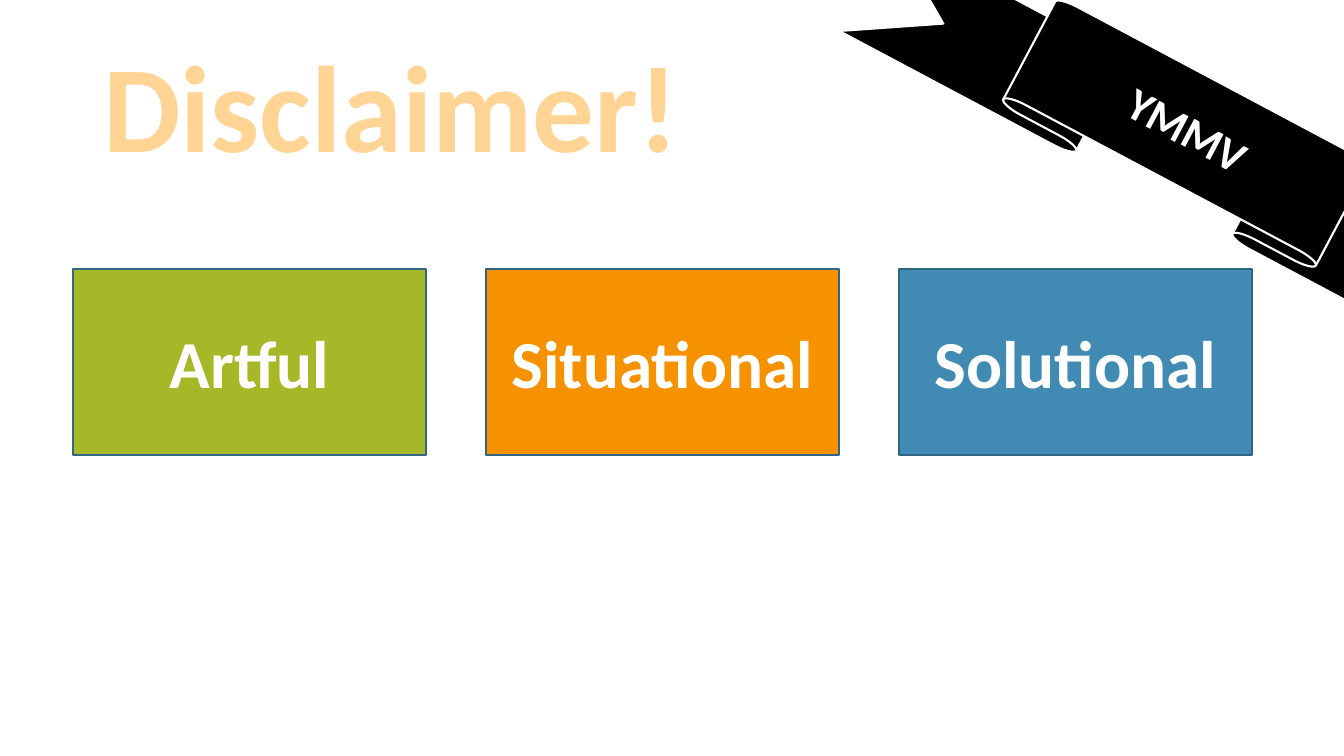
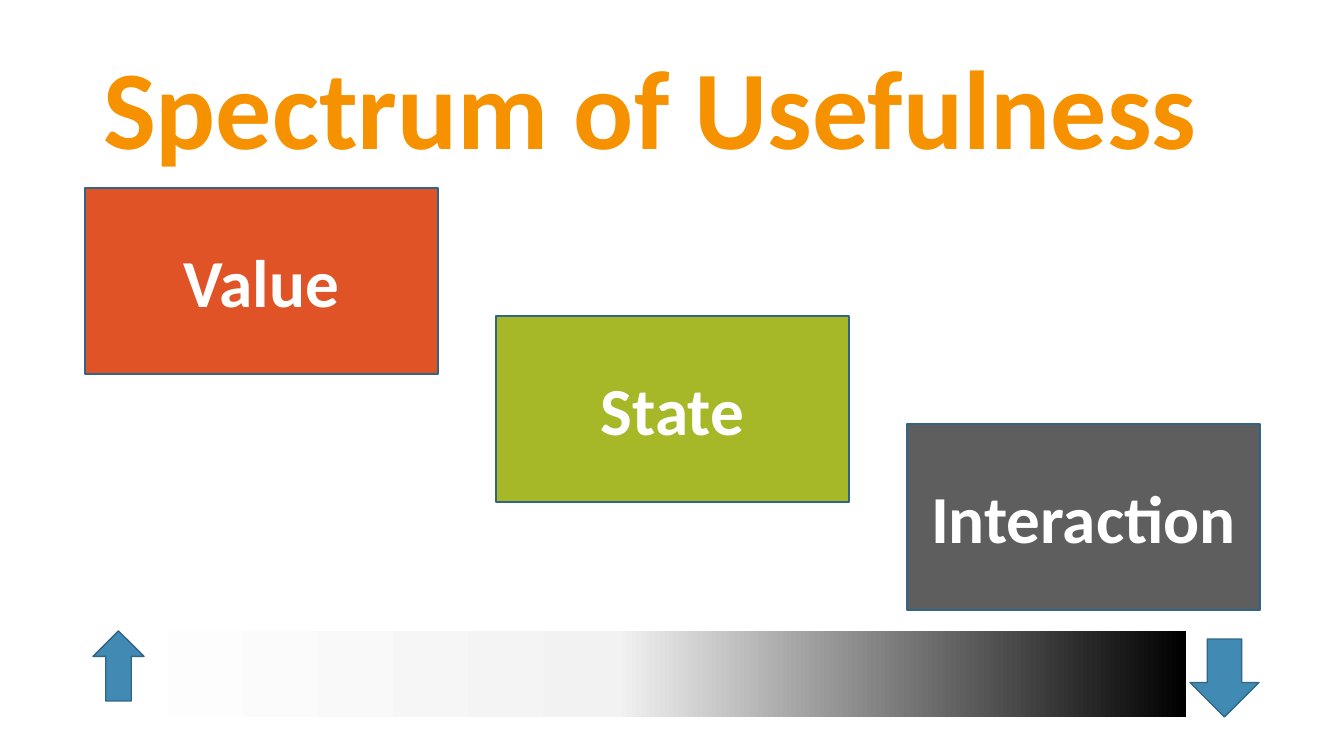
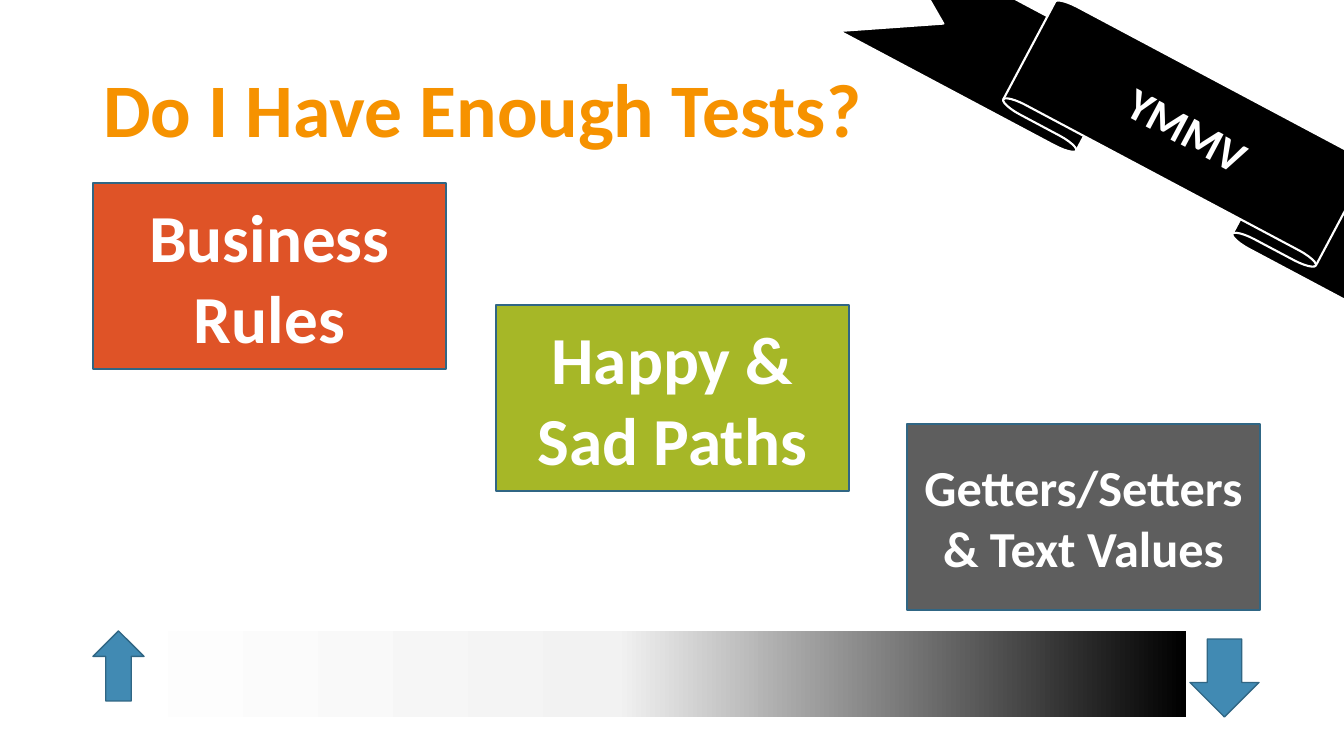
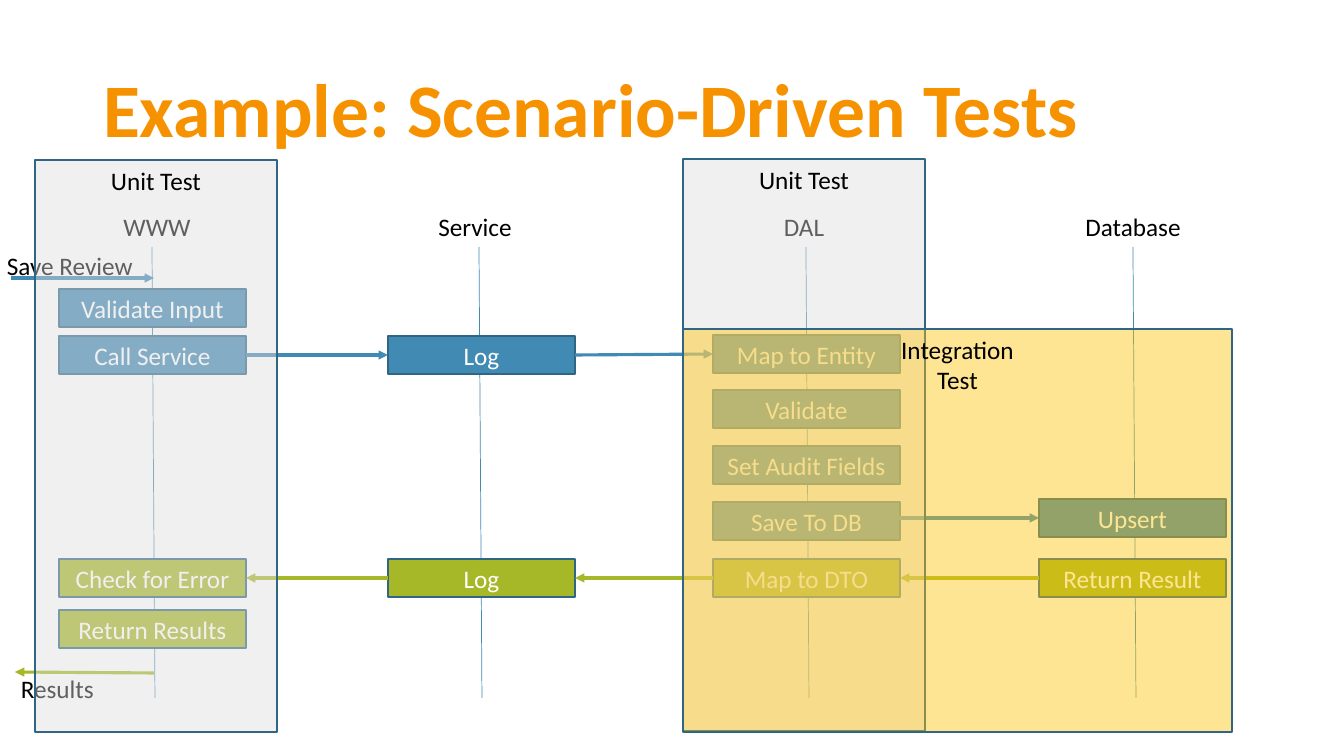
"""Build four slides on choosing useful tests."""
from lxml.etree import SubElement
from pptx import Presentation
from pptx.dml.color import RGBColor
from pptx.enum.shapes import MSO_CONNECTOR, MSO_SHAPE
from pptx.enum.text import MSO_ANCHOR, MSO_AUTO_SIZE, PP_ALIGN
from pptx.oxml.ns import qn
from pptx.util import Emu, Pt

FONT = "Calibri"
COLOURS = {
    "white": "FFFFFF", "black": "000000", "orange": "F69200", "peach": "FFD495",
    "green": "A6B727", "blue": "418AB3", "red": "DF5327", "grey": "5E5E5E",
    "border": "306684", "silver": "DDDDDD", "gold": "FEC306", "pale": "F2F2F2",
}
EMU_PER_PX = 914400 / 100.8
CARD_WIDTH, CARD_HEIGHT = 353, 186
STEP_WIDTH, STEP_HEIGHT = 187, 38

TITLES = [
    ("Disclaimer!", 88, "peach"),
    ("Spectrum of Usefulness", 80, "orange"),
    ("Do I Have Enough Tests?", 54, "orange"),
    ("Example: Scenario-Driven Tests", 54, "orange"),
]
KINDS = [("Artful", "green"), ("Situational", "orange"), ("Solutional", "blue")]
USEFULNESS = [
    ("Value", 85, 188, "red", 48),
    ("State", 496, 316, "green", 48),
    ("Interaction", 907, 424, "grey", 48),
]
ENOUGH_TESTS = [
    ("Business Rules", 93, 183, "red", 48),
    ("Happy & Sad Paths", 496, 305, "green", 48),
    ("Getters/Setters & Text Values", 907, 424, "grey", 36),
]
SPECTRUM_STOPS = [(0, "white"), (48, "pale"), (100, "black")]

LANES = [("WWW", 157), ("Service", 475), ("DAL", 804), ("Database", 1133)]
LANE_STEP = 327
STEP_LEFTS = [59, 388, 713, 1039]
STEPS = {
    "validate input": ("Validate Input", 0, 289, "blue"),
    "call service": ("Call Service", 0, 336, "blue"),
    "log request": ("Log", 1, 336, "blue"),
    "map to entity": ("Map to Entity", 2, 335, "blue"),
    "validate": ("Validate", 2, 390, "blue"),
    "audit": ("Set Audit Fields", 2, 446, "blue"),
    "save": ("Save To DB", 2, 502, "blue"),
    "upsert": ("Upsert", 3, 499, "blue"),
    "return result": ("Return Result", 3, 559, "green"),
    "map to dto": ("Map to DTO", 2, 559, "green"),
    "log response": ("Log", 1, 559, "green"),
    "check": ("Check for Error", 0, 559, "green"),
    "return results": ("Return Results", 0, 610, "green"),
}
REQUESTS = [
    ((11, 278), (154, 278)),
    ("call service", "log request"),
    ("log request", "map to entity"),
    ((895, 518), "upsert"),
]
RESPONSES = [
    ("return result", "map to dto"),
    ("map to dto", "log response"),
    ("log response", "check"),
    ((154, 673), (15, 672)),
]
MESSAGES = [("Save Review", -3, 245), ("Results", 11, 668)]
SCOPES = [
    ("Unit Test", 35, 160, 242, 572, "silver"),
    ("Unit Test", 683, 159, 242, 572, "silver"),
    ("Integration\nTest", 683, 329, 549, 403, "gold"),
]


def px(length):
    return Emu(round(length * EMU_PER_PX))


def colour(name):
    return RGBColor.from_string(COLOURS[name])


def write(shape, text, size, ink, bold=False, align=PP_ALIGN.CENTER, anchor=MSO_ANCHOR.MIDDLE):
    frame = shape.text_frame
    frame.text = text
    frame.word_wrap = True
    frame.vertical_anchor = anchor
    for paragraph in frame.paragraphs:
        paragraph.alignment = align
        for run in paragraph.runs:
            run.font.name = FONT
            run.font.size = Pt(size)
            run.font.bold = bold
            run.font.color.rgb = colour(ink)


def add_title(presentation, text, size, ink):
    slide = presentation.slides.add_slide(presentation.slide_layouts[5])
    title = slide.shapes.title
    title.left, title.top, title.width, title.height = map(px, (93, 40, 1159, 146))
    write(title, text, size, ink, True, PP_ALIGN.LEFT)
    title.text_frame.auto_size = MSO_AUTO_SIZE.NONE
    title.text_frame.paragraphs[0].line_spacing = 0.9
    return slide


def add_figure(slide, kind, box, fill, line="border", line_width=1):
    shape = slide.shapes.add_shape(kind, *map(px, box))
    shape.shadow.inherit = False
    shape.fill.solid()
    shape.fill.fore_color.rgb = colour(fill)
    shape.line.color.rgb = colour(line)
    shape.line.width = Pt(line_width)
    return shape


def add_card(slide, text, left, top, fill, size):
    card = add_figure(slide, MSO_SHAPE.RECTANGLE, (left, top, CARD_WIDTH, CARD_HEIGHT), fill)
    write(card, text, size, "white", True)


def add_ribbon(slide):
    ribbon = add_figure(slide, MSO_SHAPE.UP_RIBBON, (829, 72, 708, 133), "black", "white", 1.5)
    ribbon.rotation = 28
    write(ribbon, "YMMV", 32, "white", True)


def add_spectrum(slide):
    bar = add_figure(slide, MSO_SHAPE.RECTANGLE, (93, 631, 1093, 86), "white")
    bar.line.fill.background()
    bar.fill.gradient()
    bar.fill.gradient_angle = 0
    stops = next(bar._element.iter(qn("a:gsLst")))
    stops.clear()
    for position, name in SPECTRUM_STOPS:
        stop = SubElement(stops, qn("a:gs"), pos=str(position * 1000))
        SubElement(stop, qn("a:srgbClr"), val=COLOURS[name])
    add_figure(slide, MSO_SHAPE.UP_ARROW, (93, 631, 51, 70), "blue")
    add_figure(slide, MSO_SHAPE.DOWN_ARROW, (1190, 639, 69, 78), "blue")


def add_line(slide, start, end, ink, width, arrow=False):
    line = slide.shapes.add_connector(MSO_CONNECTOR.STRAIGHT, *map(px, (*start, *end)))
    line.line.color.rgb = colour(ink)
    line.line.width = Pt(width)
    if arrow:
        SubElement(line.line._get_or_add_ln(), qn("a:tailEnd"), type="triangle")
    SubElement(line._element.spPr, qn("a:effectLst"))
    return line


def add_arrow(slide, steps, start, end, ink, start_side, end_side):
    points = [(0, 0) if isinstance(point, str) else point for point in (start, end)]
    arrow = add_line(slide, *points, ink, 2.25, True)
    if start in steps:
        arrow.begin_connect(steps[start], start_side)
    if end in steps:
        arrow.end_connect(steps[end], end_side)


def add_label(slide, text, left, top, width, align):
    label = slide.shapes.add_textbox(*map(px, (left, top, width, 40)))
    write(label, text, 18, "black", align=align, anchor=MSO_ANCHOR.TOP)


def add_scenario(slide):
    for index, (name, centre) in enumerate(LANES):
        left = 152 + index * LANE_STEP
        add_line(slide, (left, 247), (left + 3, 698), "blue", 0.5)
        add_label(slide, name, centre - 67, 206, 134, PP_ALIGN.CENTER)
    for text, left, top in MESSAGES:
        add_label(slide, text, left, top, 177, PP_ALIGN.LEFT)
    steps = {}
    for key, (text, lane, top, fill) in STEPS.items():
        box = (STEP_LEFTS[lane], top, STEP_WIDTH, STEP_HEIGHT)
        steps[key] = add_figure(slide, MSO_SHAPE.RECTANGLE, box, fill)
        write(steps[key], text, 18, "white")
    for start, end in REQUESTS:
        add_arrow(slide, steps, start, end, "blue", 3, 1)
    for start, end in RESPONSES:
        add_arrow(slide, steps, start, end, "green", 1, 3)
    for text, left, top, width, height, fill in SCOPES:
        scope = add_figure(slide, MSO_SHAPE.RECTANGLE, (left, top, width, height), fill)
        fill_colour = next(scope._element.spPr.iter(qn("a:srgbClr")))
        SubElement(fill_colour, qn("a:alpha"), val="43000")
        write(scope, text, 18, "black", anchor=MSO_ANCHOR.TOP)


def main():
    presentation = Presentation()
    presentation.slide_width, presentation.slide_height = px(1344), px(756)
    disclaimer, usefulness, enough, scenario = [add_title(presentation, *title) for title in TITLES]
    for index, (text, fill) in enumerate(KINDS):
        add_card(disclaimer, text, 73 + index * 413, 269, fill, 48)
    for slide, cards in ((usefulness, USEFULNESS), (enough, ENOUGH_TESTS)):
        add_spectrum(slide)
        for card in cards:
            add_card(slide, *card)
    for slide in (disclaimer, enough):
        add_ribbon(slide)
    add_scenario(scenario)
    presentation.save("out.pptx")


if __name__ == "__main__":
    main()
